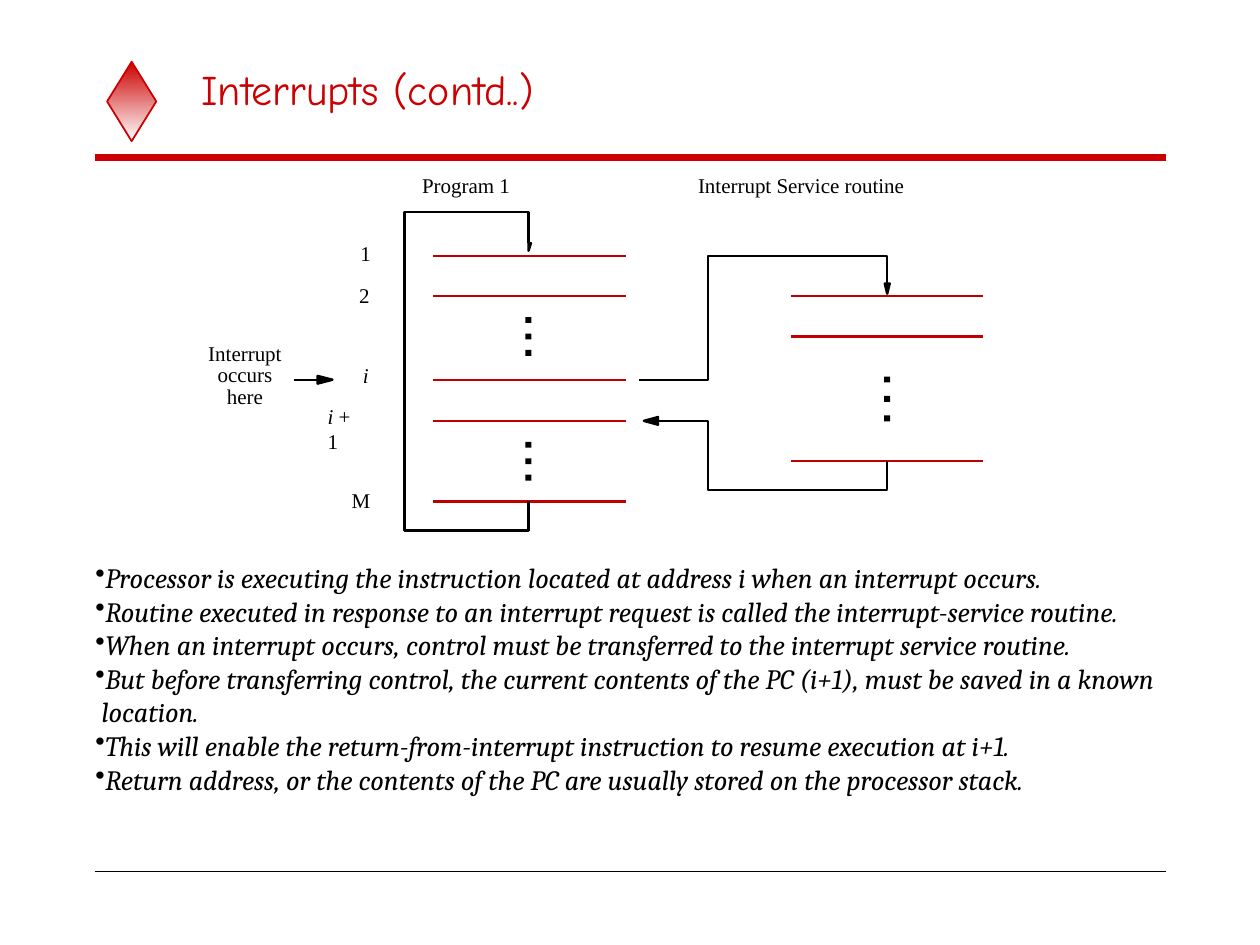
from dataclasses import dataclass

from lxml import etree
from pptx import Presentation
from pptx.dml.color import RGBColor
from pptx.enum.shapes import MSO_CONNECTOR, MSO_SHAPE
from pptx.enum.text import MSO_ANCHOR, MSO_AUTO_SIZE, PP_ALIGN
from pptx.oxml.ns import qn
from pptx.util import Pt

STRAIGHT = MSO_CONNECTOR.STRAIGHT
DIAMOND, RECTANGLE = MSO_SHAPE.DIAMOND, MSO_SHAPE.RECTANGLE
LEFT, CENTER = PP_ALIGN.LEFT, PP_ALIGN.CENTER
MIDDLE = MSO_ANCHOR.MIDDLE
FIT_SHAPE = MSO_AUTO_SIZE.SHAPE_TO_FIT_TEXT

Point = tuple[float, float]


@dataclass(frozen=True)
class Theme:
    red: RGBColor = RGBColor(0xCC, 0x00, 0x00)
    dark_red: RGBColor = RGBColor(0xC0, 0x00, 0x00)
    black: RGBColor = RGBColor(0x00, 0x00, 0x00)
    white: RGBColor = RGBColor(0xFF, 0xFF, 0xFF)
    title_font: str = "Comic Neue"
    label_font: str = "Times New Roman"
    body_font: str = "Cambria"
    title_size: float = 24
    label_size: float = 12
    body_size: float = 16
    stroke: float = 1.38


@dataclass(frozen=True)
class Label:
    left: float
    top: float
    width: float
    runs: tuple[tuple[str, bool], ...]  # text, italic


@dataclass(frozen=True)
class Routine:
    """A column of instruction lines with groups of three dots between."""
    left: float
    right: float
    center: float
    lines: tuple[float, ...]
    dot_groups: tuple[float, ...]
    dot_pitch: float


THEME = Theme()
DOT_SIZE = 3.4
LABEL_HEIGHT = 14.4

PROGRAM = Routine(247.7, 357.8, 302, (146.2, 169.2, 217, 240.5, 286.6),
                  (182.9, 254.2), 9.4)
SERVICE = Routine(452.2, 561.6, 507, (169.2, 192.2, 263.5), (216.9,), 11.1)

LABELS = (
    Label(241.2, 98.6, 50.4, (("Program 1", False),)),
    Label(398.9, 98.6, 118.1, (("Interrupt Service routine", False),)),
    Label(205.9, 137.5, 6, (("1", False),)),
    Label(205.2, 161.3, 6, (("2", False),)),
    Label(207.4, 207.4, 4, (("i", True),)),
    Label(187.2, 230.4, 22, (("i", True), (" + 1", False))),
    Label(200.9, 278.6, 11, (("M", False),)),
)

BULLETS = (
    "Processor is executing the instruction located at address i when an interrupt occurs.",
    "Routine executed in response to an interrupt request is called the interrupt-service routine.",
    "When an interrupt occurs, control must be transferred to the interrupt service routine.",
    "But before transferring control, the current contents of the PC (i+1), must be saved in a known",
    "location.",
    "This will enable the return-from-interrupt instruction to resume execution at i+1.",
    "Return address, or the contents of the PC are usually stored on the processor stack.",
)
CONTINUATION = "location."


def add_line(slide, start: Point, end: Point, color: RGBColor, width: float) -> None:
    line = slide.shapes.add_connector(STRAIGHT, *map(Pt, start + end))
    line.line.color.rgb = color
    line.line.width = Pt(width)
    etree.SubElement(line._element.spPr, qn("a:effectLst"))


def add_outline(slide, points: list[Point], closed: bool = False) -> None:
    vertices = [(Pt(x), Pt(y)) for x, y in points]
    builder = slide.shapes.build_freeform(*vertices[0], scale=1.0)
    builder.add_line_segments(vertices[1:], close=closed)
    shape = builder.convert_to_shape()
    shape.shadow.inherit = False
    shape.line.color.rgb = THEME.black
    shape.line.width = Pt(THEME.stroke)
    if closed:
        shape.fill.solid()
        shape.fill.fore_color.rgb = THEME.black
    else:
        shape.fill.background()


def add_text_box(slide, left: float, top: float, width: float, height: float,
                 inset: float = 0):
    box = slide.shapes.add_textbox(Pt(left), Pt(top), Pt(width), Pt(height))
    frame = box.text_frame
    frame.word_wrap = False
    frame.margin_left = frame.margin_right = Pt(inset)
    frame.margin_top = frame.margin_bottom = Pt(inset / 2)
    return frame


def style(paragraph, font: str, size: float, color: RGBColor = THEME.black) -> None:
    paragraph.font.name = font
    paragraph.font.size = Pt(size)
    paragraph.font.color.rgb = color


def indent(paragraph, left: float) -> None:
    paragraph._p.get_or_add_pPr().set("marL", str(Pt(left)))


def add_label(slide, label: Label) -> None:
    frame = add_text_box(slide, label.left, label.top, label.width, LABEL_HEIGHT)
    frame.auto_size = FIT_SHAPE
    paragraph = frame.paragraphs[0]
    style(paragraph, THEME.label_font, THEME.label_size)
    for text, italic in label.runs:
        run = paragraph.add_run()
        run.text = text
        run.font.italic = italic


def add_routine(slide, routine: Routine) -> None:
    for y in routine.lines:
        add_line(slide, (routine.left, y), (routine.right, y),
                 THEME.dark_red, THEME.stroke)
    for first in routine.dot_groups:
        for index in range(3):
            y = first + index * routine.dot_pitch
            dot = slide.shapes.add_shape(
                RECTANGLE, Pt(routine.center - DOT_SIZE / 2), Pt(y - DOT_SIZE / 2),
                Pt(DOT_SIZE), Pt(DOT_SIZE))
            dot.shadow.inherit = False
            dot.fill.solid()
            dot.fill.fore_color.rgb = THEME.black
            dot.line.fill.background()


def add_header(slide) -> None:
    diamond = slide.shapes.add_shape(DIAMOND, Pt(61.2), Pt(35.3), Pt(28.1), Pt(45.4))
    diamond.shadow.inherit = False
    diamond.fill.gradient()
    diamond.fill.gradient_angle = 270
    for stop, position, color in zip(diamond.fill.gradient_stops, (0, 1),
                                     (THEME.red, THEME.white)):
        stop.position = position
        stop.color.rgb = color
    diamond.line.color.rgb = THEME.red
    diamond.line.width = Pt(1)

    frame = add_text_box(slide, 36, 5.8, 653.8, 90, inset=7.2)
    frame.word_wrap = True
    frame.vertical_anchor = MIDDLE
    title = frame.paragraphs[0]
    title.text = "Interrupts (contd..)"
    title.alignment = LEFT
    indent(title, 72)
    style(title, THEME.title_font, THEME.title_size, THEME.red)


def add_flow(slide) -> None:
    main, service = PROGRAM.center, SERVICE.center
    call, resume = PROGRAM.lines[2:4]
    # Program loop
    add_outline(slide, [(main, 139), (main, 121), (231.1, 121), (231.1, 303.1),
                        (main, 303.1), (main, PROGRAM.lines[-1])])
    add_outline(slide, [(main, 139), (main, 143.3), (main + 1.4, 139)], closed=True)
    # Jump to the service routine
    add_outline(slide, [(service, 162), (service, 146.2), (404.6, 146.2),
                        (404.6, call), (365, call)])
    add_outline(slide, [(service - 1.4, 162), (service, 167.8), (service + 1.4, 162)],
                closed=True)
    # Return to the program
    add_outline(slide, [(376, resume), (404.6, resume), (404.6, 280),
                        (service, 280), (service, SERVICE.lines[-1])])
    add_outline(slide, [(376, resume - 2.2), (368, resume), (376, resume + 2.2)],
                closed=True)
    # Interrupt marker
    add_line(slide, (167.8, call), (181.5, call), THEME.black, THEME.stroke)
    add_outline(slide, [(181.5, call - 2.2), (190, call), (181.5, call + 2.2)],
                closed=True)
    frame = add_text_box(slide, 118, 196.7, 44, 36.7)
    frame.text = "Interrupt\noccurs\nhere"
    for paragraph in frame.paragraphs:
        paragraph.alignment = CENTER
        paragraph.line_spacing = Pt(12.25)
        style(paragraph, THEME.label_font, THEME.label_size)


def add_body(slide) -> None:
    frame = add_text_box(slide, 47.5, 316.8, 630.7, 141.8, inset=7.2)
    frame.auto_size = FIT_SHAPE
    frame.text = "\n".join(BULLETS)
    for paragraph in frame.paragraphs:
        style(paragraph, THEME.body_font, THEME.body_size)
        paragraph.font.italic = True
        if paragraph.text == CONTINUATION:
            indent(paragraph, 3.5)
        else:
            bullet = etree.Element(qn("a:buChar"), char="•")
            paragraph._p.get_or_add_pPr().insert(0, bullet)


def main() -> None:
    presentation = Presentation()
    presentation.slide_width, presentation.slide_height = Pt(720), Pt(540)
    slide = presentation.slides.add_slide(presentation.slide_layouts[6])
    # Title and rules
    add_header(slide)
    add_line(slide, (54, 90), (666, 90), THEME.red, 4)
    add_line(slide, (54, 498), (666, 498), THEME.black, 1)
    # Diagram
    for label in LABELS:
        add_label(slide, label)
    for routine in (PROGRAM, SERVICE):
        add_routine(slide, routine)
    add_flow(slide)
    # Explanation
    add_body(slide)
    presentation.save("out.pptx")


if __name__ == "__main__":
    main()
